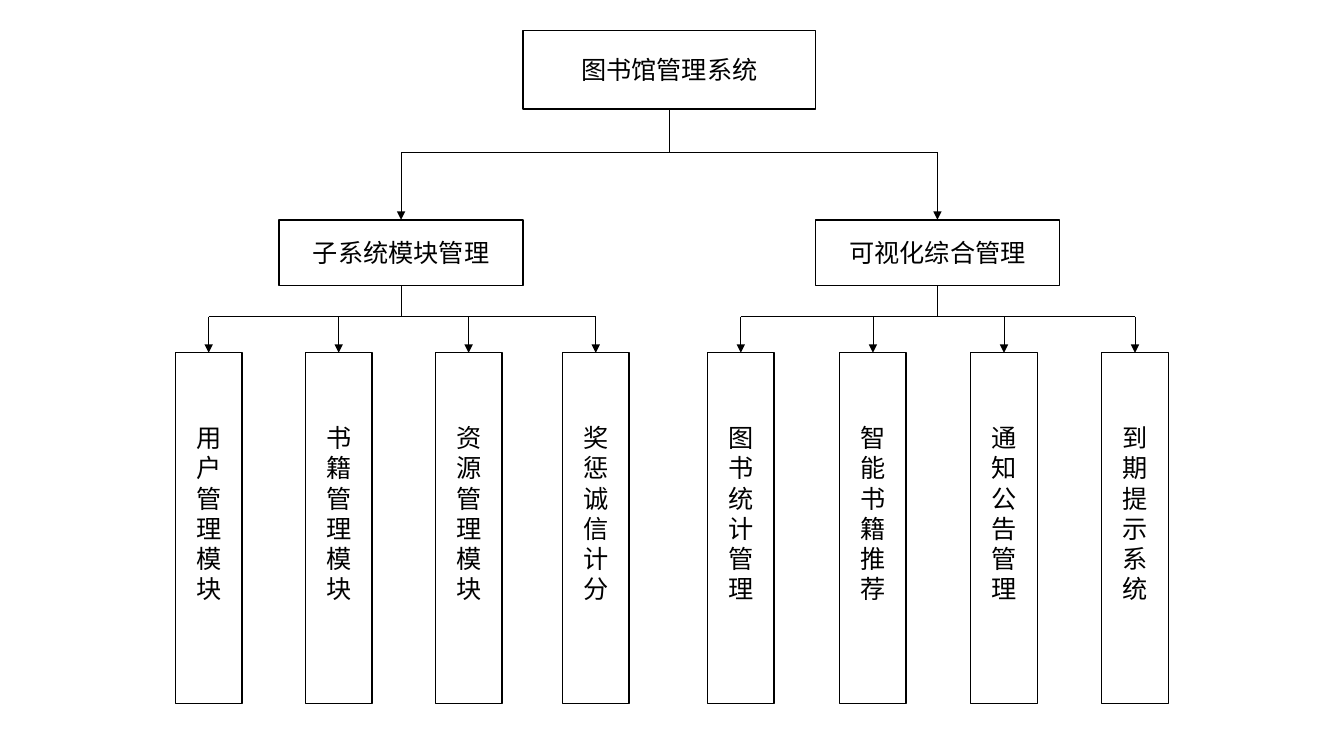
"""Build the module tree of a library management system."""
from lxml import etree
from pptx import Presentation
from pptx.dml.color import RGBColor
from pptx.enum.shapes import MSO_CONNECTOR, MSO_SHAPE
from pptx.enum.text import MSO_ANCHOR, PP_ALIGN
from pptx.oxml.ns import qn
from pptx.util import Pt

RECT, STRAIGHT = MSO_SHAPE.RECTANGLE, MSO_CONNECTOR.STRAIGHT
MIDDLE, CENTER = MSO_ANCHOR.MIDDLE, PP_ALIGN.CENTER

THEME = {
    "ink": RGBColor(0, 0, 0),
    "paper": RGBColor(255, 255, 255),
    "font": "Noto Sans CJK SC",
    "size": Pt(18),
    "border": Pt(1),
    "wire": Pt(0.5),
}
ROOT_X, ROOT_Y, ROOT_W, ROOT_H = 373.7, 21.6, 208.8, 56.2
SUB_Y, SUB_W, SUB_H = 157, 174.2, 46.8
LEAF_Y, LEAF_W, LEAF_H = 252, 47.5, 250.6
ROOT_BUS_Y, LEAF_BUS_Y = 108.7, 226.1
LEAF_BOTTOM_INSET = 25.2

ROOT = "图书馆管理系统"
BRANCHES = [
    ("子系统模块管理", 199.4, [
        ("用户管理模块", 125.3), ("书籍管理模块", 218.2),
        ("资源管理模块", 311), ("奖惩诚信计分", 401.8)]),
    ("可视化综合管理", 582.5, [
        ("图书统计管理", 505.4), ("智能书籍推荐", 599.8),
        ("通知公告管理", 693.4), ("到期提示系统", 787)]),
]

prs = Presentation()
prs.slide_width, prs.slide_height = Pt(960), Pt(540)
s = prs.slides.add_slide(prs.slide_layouts[6])


def add_box(text, x, y, w, h, bottom=3.6):
    sp = s.shapes.add_shape(RECT, Pt(x), Pt(y), Pt(w), Pt(h))
    sp.shadow.inherit = False
    sp.fill.solid()
    sp.fill.fore_color.rgb = THEME["paper"]
    sp.line.color.rgb = THEME["ink"]
    sp.line.width = THEME["border"]
    tf = sp.text_frame
    frame = {"word_wrap": True, "vertical_anchor": MIDDLE, "margin_bottom": Pt(bottom)}
    for name, value in frame.items():
        setattr(tf, name, value)
    p = tf.paragraphs[0]
    p.alignment = CENTER
    r = p.add_run()
    r.text = text
    for name, value in {"name": THEME["font"], "size": THEME["size"]}.items():
        setattr(r.font, name, value)
    r.font.color.rgb = THEME["ink"]
    ea = etree.SubElement(r.font._element, qn("a:ea"))
    ea.set("typeface", THEME["font"])


def add_wire(x1, y1, x2, y2, arrow=False):
    cx = s.shapes.add_connector(STRAIGHT, Pt(x1), Pt(y1), Pt(x2), Pt(y2))
    cx.line.color.rgb = THEME["ink"]
    cx.line.width = THEME["wire"]
    if arrow:
        etree.SubElement(cx.line._get_or_add_ln(), qn("a:tailEnd")).set("type", "triangle")
    etree.SubElement(cx._element.spPr, qn("a:effectLst"))


root_mid = ROOT_X + ROOT_W / 2
sub_mids = [x + SUB_W / 2 for _, x, _ in BRANCHES]
add_box(ROOT, ROOT_X, ROOT_Y, ROOT_W, ROOT_H)
add_wire(root_mid, ROOT_Y + ROOT_H, root_mid, ROOT_BUS_Y)
add_wire(sub_mids[0], ROOT_BUS_Y, sub_mids[-1], ROOT_BUS_Y)

for (title, sub_x, leaves), sub_mid in zip(BRANCHES, sub_mids):
    add_box(title, sub_x, SUB_Y, SUB_W, SUB_H)
    add_wire(sub_mid, ROOT_BUS_Y, sub_mid, SUB_Y, arrow=True)
    add_wire(sub_mid, SUB_Y + SUB_H, sub_mid, LEAF_BUS_Y)
    leaf_mids = [x + LEAF_W / 2 for _, x in leaves]
    add_wire(leaf_mids[0], LEAF_BUS_Y, leaf_mids[-1], LEAF_BUS_Y)
    for (label, leaf_x), leaf_mid in zip(leaves, leaf_mids):
        add_box(label, leaf_x, LEAF_Y, LEAF_W, LEAF_H, LEAF_BOTTOM_INSET)
        add_wire(leaf_mid, LEAF_BUS_Y, leaf_mid, LEAF_Y, arrow=True)

prs.save("out.pptx")
